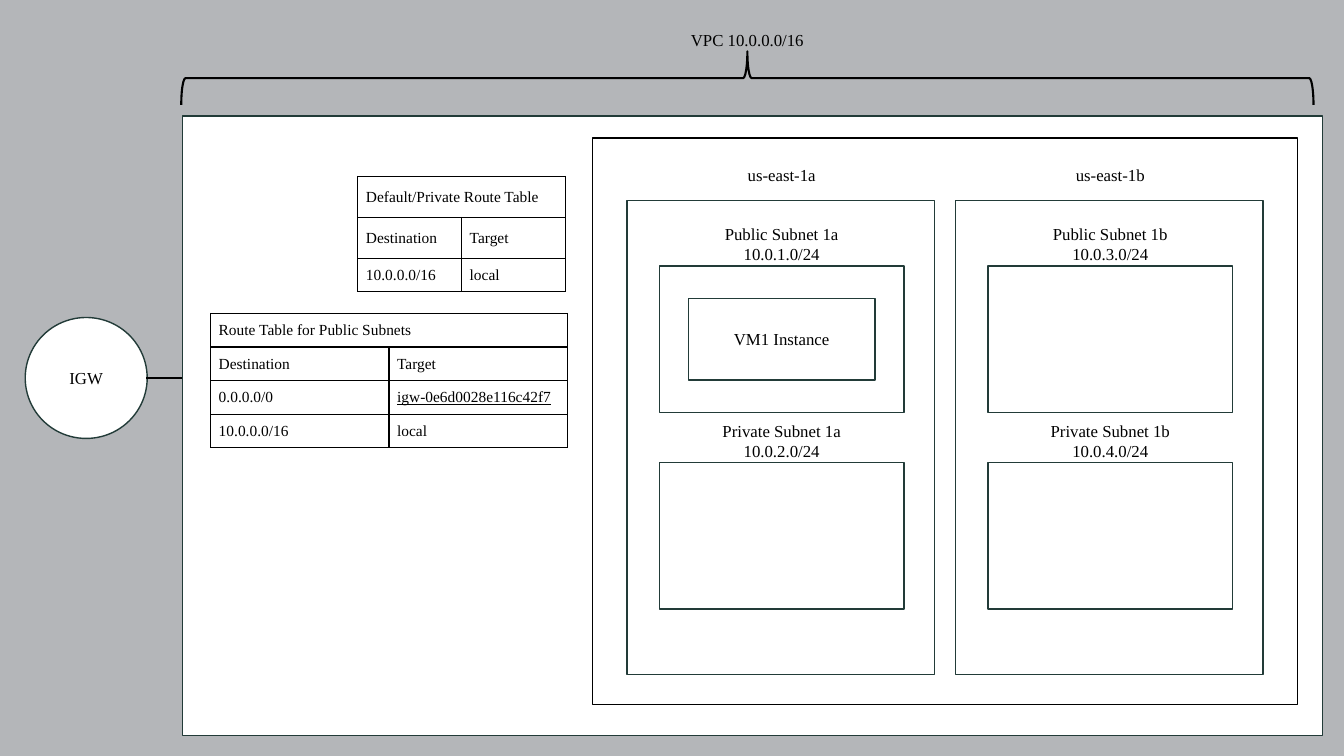
import pptx
import pptx.dml.color
import pptx.enum.shapes
import pptx.enum.text
import pptx.oxml
import pptx.oxml.ns
import pptx.util

SLIDE_WIDTH = pptx.util.Inches(13.33)
SLIDE_HEIGHT = pptx.util.Inches(7.5)
COLUMN = SLIDE_WIDTH / 40
ROW = SLIDE_HEIGHT / 22.5

COLORS = {"backdrop": "B4B6B9", "panel": "FFFFFF", "outline": "223B38", "ink": "000000"}
SHAPES = pptx.enum.shapes.MSO_SHAPE
MIDDLE = pptx.enum.text.MSO_ANCHOR.MIDDLE
CENTER = pptx.enum.text.PP_ALIGN.CENTER

LABEL_FONT = {"name": "Times New Roman", "size": pptx.util.Pt(12)}
TABLE_FONT = {"name": "Times New Roman", "size": pptx.util.Pt(11)}
LABEL_FRAME = {"word_wrap": True, "auto_size": pptx.enum.text.MSO_AUTO_SIZE.SHAPE_TO_FIT_TEXT}
SHAPE_FRAME = {"word_wrap": True, "vertical_anchor": MIDDLE}
TABLE_FLAGS = {"first_row": False, "horz_banding": False}
CELL_FORMAT = {
    "vertical_anchor": MIDDLE,
    "margin_left": pptx.util.Inches(0.08),
    "margin_right": pptx.util.Inches(0.08),
    "margin_top": pptx.util.Inches(0.04),
    "margin_bottom": pptx.util.Inches(0.04),
}

ZONES = {
    "us-east-1a": ["Public Subnet 1a\n10.0.1.0/24", "Private Subnet 1a\n10.0.2.0/24"],
    "us-east-1b": ["Public Subnet 1b\n10.0.3.0/24", "Private Subnet 1b\n10.0.4.0/24"],
}
ZONE_LEFT, ZONE_STEP = 18.66, 9.78
SUBNET_TOP, SUBNET_STEP = 7.92, 5.85

PRIVATE_ROUTES = [
    ["Default/Private Route Table"],
    ["Destination", "Target"],
    ["10.0.0.0/16", "local"],
]
PUBLIC_ROUTES = [
    ["Route Table for Public Subnets"],
    ["Destination", "Target"],
    ["0.0.0.0/0", "igw-0e6d0028e116c42f7"],
    ["10.0.0.0/16", "local"],
]


def across(columns):
    return round(columns * COLUMN)


def down(rows):
    return round(rows * ROW)


def place(left, top, width, height):
    return across(left), down(top), across(width), down(height)


def color(name):
    return pptx.dml.color.RGBColor.from_string(COLORS[name])


def apply_format(target, values):
    for name, value in values.items():
        setattr(target, name, value)


def paint(fill, name):
    fill.solid()
    fill.fore_color.rgb = color(name)


def draw_line(line, name, points):
    line.color.rgb = color(name)
    line.width = pptx.util.Pt(points)


def write(frame, text, font, alignment=None):
    frame.text = text
    for paragraph in frame.paragraphs:
        paragraph.alignment = alignment
        for run in paragraph.runs:
            apply_format(run.font, font)
            run.font.color.rgb = color("ink")


def add_box(slide, area, text="", outline="outline", kind=SHAPES.RECTANGLE):
    shape = slide.shapes.add_shape(kind, *place(*area))
    shape.shadow.inherit = False
    paint(shape.fill, "panel")
    draw_line(shape.line, outline, 1)
    if text:
        apply_format(shape.text_frame, SHAPE_FRAME)
        write(shape.text_frame, text, LABEL_FONT, CENTER)


def add_label(slide, area, text):
    frame = slide.shapes.add_textbox(*place(*area)).text_frame
    apply_format(frame, LABEL_FRAME)
    write(frame, text, LABEL_FONT, CENTER)


def add_brace(slide, area):
    brace = slide.shapes.add_shape(SHAPES.RIGHT_BRACE, *place(*area))
    brace.shadow.inherit = False
    brace.rotation = 270
    brace.adjustments[0] = 0.08
    brace.adjustments[1] = 0.5
    brace.fill.background()
    draw_line(brace.line, "ink", 1.5)


def add_link(slide, start, end):
    connector = slide.shapes.add_connector(
        pptx.enum.shapes.MSO_CONNECTOR.STRAIGHT,
        across(start[0]), down(start[1]), across(end[0]), down(end[1]),
    )
    draw_line(connector.line, "ink", 1.5)
    properties = connector._element.spPr
    properties.append(pptx.oxml.parse_xml(f'<a:effectLst {pptx.oxml.ns.nsdecls("a")}/>'))


def add_borders(cell):
    properties = cell._tc.get_or_add_tcPr()
    for side in ("lnL", "lnR", "lnT", "lnB"):
        properties.append(pptx.oxml.parse_xml(
            f'<a:{side} {pptx.oxml.ns.nsdecls("a")} w="{pptx.util.Pt(1)}"><a:solidFill>'
            f'<a:srgbClr val="{COLORS["ink"]}"/></a:solidFill></a:{side}>'
        ))


def add_route_table(slide, left, top, column_width, row_heights, routes):
    area = place(left, top, 2 * column_width, sum(row_heights))
    table = slide.shapes.add_table(len(routes), 2, *area).table
    apply_format(table, TABLE_FLAGS)
    for column in table.columns:
        column.width = across(column_width)
    for row, height in zip(table.rows, row_heights):
        row.height = down(height)
    for cell in table.iter_cells():
        add_borders(cell)
        paint(cell.fill, "panel")
        apply_format(cell, CELL_FORMAT)
    table.cell(0, 0).merge(table.cell(0, 1))
    for row_index, texts in enumerate(routes):
        for column_index, text in enumerate(texts):
            font = TABLE_FONT | {"underline": text.startswith("igw-")}
            write(table.cell(row_index, column_index).text_frame, text, font)


def add_zone(slide, left, name, subnets):
    add_box(slide, (left, 5.97, 9.15, 14.1))
    add_label(slide, (left + 2.25, 4.77, 4.71, 0.9), name)
    for index, subnet in enumerate(subnets):
        top = SUBNET_TOP + index * SUBNET_STEP
        add_box(slide, (left + 0.96, top, 7.29, 4.35))
        add_label(slide, (left + 0.96, top - 1.41, 7.29, 1.5), subnet)


def main():
    presentation = pptx.Presentation()
    presentation.slide_width = SLIDE_WIDTH
    presentation.slide_height = SLIDE_HEIGHT
    slide = presentation.slides.add_slide(presentation.slide_layouts[6])
    paint(slide.background.fill, "backdrop")

    add_box(slide, (5.43, 3.45, 33.93, 18.45))
    add_box(slide, (17.64, 4.11, 20.97, 16.86), outline="ink")
    for index, (name, subnets) in enumerate(ZONES.items()):
        add_zone(slide, ZONE_LEFT + index * ZONE_STEP, name, subnets)
    add_box(slide, (20.49, 8.88, 5.55, 2.43), "VM1 Instance")

    add_route_table(slide, 10.65, 5.25, 3.09, [1.22, 1.22, 1], PRIVATE_ROUTES)
    add_route_table(slide, 6.27, 9.33, 5.31, [1] * 4, PUBLIC_ROUTES)

    add_label(slide, (5.28, 0.75, 33.93, 0.9), "VPC 10.0.0.0/16")
    add_brace(slide, (21.45, -14.52, 1.59, 33.69))
    add_box(slide, (0.75, 9.45, 3.63, 3.6), "IGW", kind=SHAPES.OVAL)
    add_link(slide, (4.35, 11.25), (5.43, 11.25))

    presentation.save("out.pptx")


if __name__ == "__main__":
    main()
